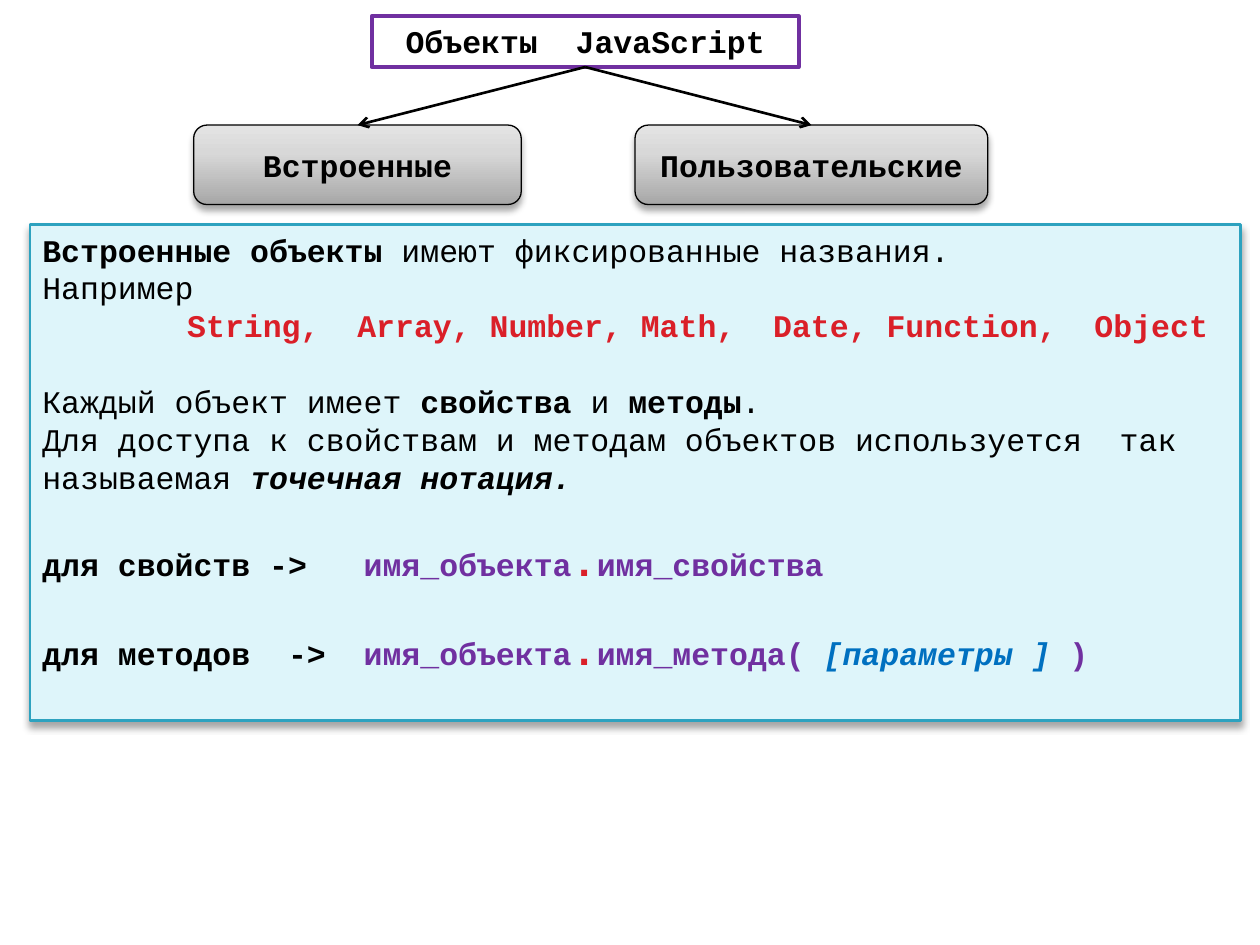
from dataclasses import dataclass

from lxml.etree import SubElement
from pptx import Presentation
from pptx.dml.color import RGBColor
from pptx.enum.shapes import MSO_CONNECTOR, MSO_SHAPE
from pptx.enum.text import MSO_ANCHOR, PP_ALIGN
from pptx.oxml.ns import qn
from pptx.util import Pt


@dataclass(frozen=True)
class Theme:
    font: str = "Courier New"
    size: int = 18
    big: int = 24
    black: str = "000000"
    violet: str = "7030A0"
    red: str = "DA1F28"
    blue: str = "0070C0"
    pale: str = "DEF5FA"
    teal: str = "2DA2BF"
    grays: tuple = ((0, "A7A7A7"), (65, "D8D8D8"), (100, "E4E4E4"))


THEME = Theme()
GAP = 22  # height of one skipped line


def rgb(code):
    return RGBColor.from_string(code)


def add_run(para, text, color=THEME.black, bold=False, italic=False, size=THEME.size):
    run = para.add_run()
    run.text = text
    font = run.font
    font.name, font.size = THEME.font, Pt(size)
    font.bold, font.italic = bold, italic
    font.color.rgb = rgb(color)


def add_shade(shape):
    """Soft shadow straight below the shape."""
    effects = shape._element.spPr.find(qn("a:effectLst"))
    shade = SubElement(effects, qn("a:outerShdw"), blurRad=str(Pt(4)),
                       dist=str(Pt(3)), dir="5400000", rotWithShape="0")
    color = SubElement(shade, qn("a:srgbClr"), val=THEME.black)
    SubElement(color, qn("a:alpha"), val="35000")


def add_grays(shape):
    """Three-stop gradient, dark at the foot."""
    shape.fill.gradient()
    shape.fill.gradient_angle = 90
    stops = shape._element.spPr.find(".//" + qn("a:gsLst"))
    stops.clear()
    for place, code in THEME.grays:
        stop = SubElement(stops, qn("a:gs"), pos=str(place * 1000))
        SubElement(stop, qn("a:srgbClr"), val=code)


def add_box(slide, kind, area, line, width, anchor=MSO_ANCHOR.TOP):
    shape = slide.shapes.add_shape(kind, *map(Pt, area))
    shape.shadow.inherit = False
    shape.fill.background()
    shape.line.color.rgb = rgb(line)
    shape.line.width = Pt(width)
    shape.text_frame.word_wrap = True
    shape.text_frame.vertical_anchor = anchor
    return shape


def add_label(shape, text):
    para = shape.text_frame.paragraphs[0]
    para.alignment = PP_ALIGN.CENTER
    add_run(para, text, bold=True)


def add_title(slide):
    shape = add_box(slide, MSO_SHAPE.RECTANGLE, (212.4, 9.2, 244, 29.1),
                    THEME.violet, 2.25)
    add_label(shape, "Объекты  JavaScript")
    return shape


def add_branch(slide, left, width, text):
    shape = add_box(slide, MSO_SHAPE.ROUNDED_RECTANGLE, (left, 71.5, width, 45.4),
                    THEME.black, 0.75, MSO_ANCHOR.MIDDLE)
    add_grays(shape)
    add_shade(shape)
    add_label(shape, text)
    return shape


def add_arrow(slide, start, end):
    arrow = slide.shapes.add_connector(MSO_CONNECTOR.STRAIGHT, 0, 0, 0, 0)
    arrow.begin_connect(start, 2)
    arrow.end_connect(end, 0)
    arrow.line.color.rgb = rgb(THEME.black)
    arrow.line.width = Pt(1.5)
    SubElement(arrow.line._get_or_add_ln(), qn("a:tailEnd"), type="arrow")
    SubElement(arrow._element.spPr, qn("a:effectLst"))


def add_panel(slide, lines):
    shape = add_box(slide, MSO_SHAPE.RECTANGLE, (17.1, 128.2, 691.9, 283.7),
                    THEME.teal, 1.5)
    shape.fill.solid()
    shape.fill.fore_color.rgb = rgb(THEME.pale)
    add_shade(shape)
    frame = shape.text_frame
    for i, (gap, indent, runs) in enumerate(lines):
        para = frame.add_paragraph() if i else frame.paragraphs[0]
        para.alignment = PP_ALIGN.LEFT
        para.space_before = Pt(gap)
        if indent:
            para._p.get_or_add_pPr().set("marL", str(Pt(indent)))
        for text, style in runs:
            add_run(para, text, **style)


def main():
    deck = Presentation()
    deck.slide_width, deck.slide_height = Pt(720), Pt(540)
    slide = deck.slides.add_slide(deck.slide_layouts[6])

    # Tree of object kinds
    title = add_title(slide)
    branches = [add_branch(slide, 110.7, 187.2, "Встроенные"),
                add_branch(slide, 362.9, 201.6, "Пользовательские")]
    for branch in branches:
        add_arrow(slide, title, branch)

    # Run styles
    plain, bold = {}, {"bold": True}
    slant = {"bold": True, "italic": True}
    name = {"bold": True, "color": THEME.violet}
    red = {"bold": True, "color": THEME.red}
    option = {**slant, "color": THEME.blue}
    access = [("имя_объекта", name), (".", {**red, "size": THEME.big})]

    # Explanation: gap above, indent, runs
    add_panel(slide, [
        (0, 0, [("Встроенные объекты ", bold),
                ("имеют фиксированные названия.", plain)]),
        (0, 0, [("Например", plain)]),
        (0, 82.8, [("String,  Array, Number, Math,  Date, Function,  Object", red)]),
        (GAP, 0, [("Каждый объект имеет ", plain), ("свойства ", bold),
                  ("и", plain), (" методы", bold), (".", plain)]),
        (0, 0, [("Для доступа к свойствам и методам объектов используется  "
                 "так называемая ", plain), ("точечная нотация.", slant)]),
        (GAP, 0, [("для свойств ->   ", bold), *access, ("имя_свойства", name)]),
        (GAP, 0, [("для методов  ->  ", bold), *access, ("имя_метода( ", name),
                  ("[параметры ] ", option), (")", name)]),
    ])
    deck.save("out.pptx")


if __name__ == "__main__":
    main()
